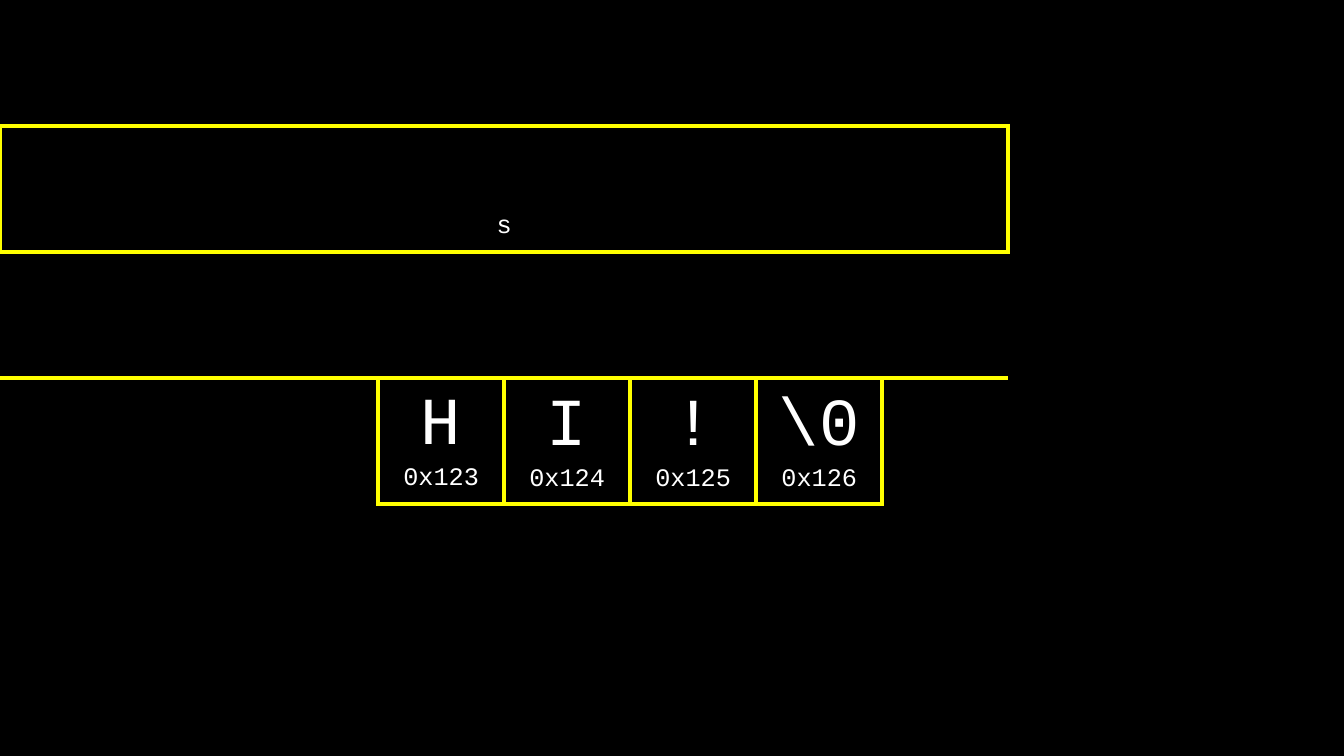
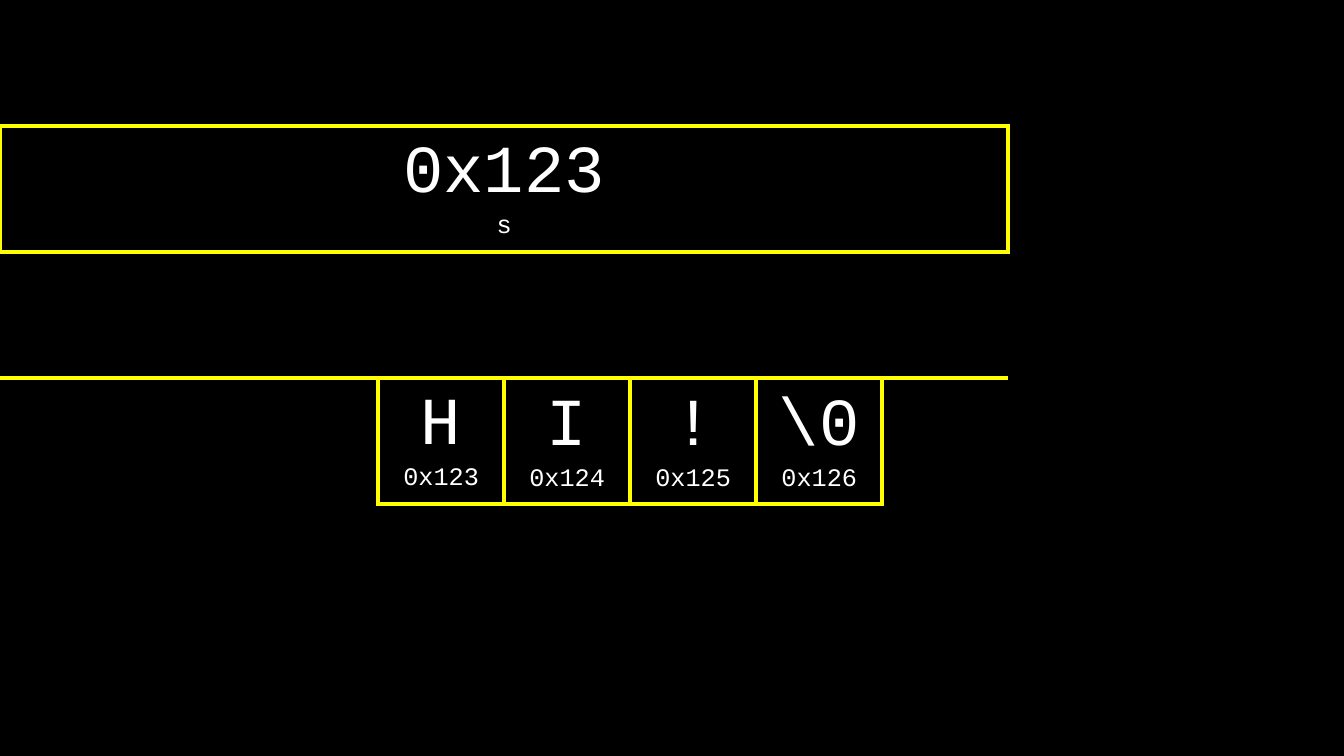
import collections
import dataclasses

import pptx
import pptx.dml.color
import pptx.enum.text
import pptx.oxml
import pptx.oxml.ns
import pptx.util

Inches = pptx.util.Inches
Pt = pptx.util.Pt
Anchor = pptx.enum.text.MSO_ANCHOR


@dataclasses.dataclass(frozen=True)
class Theme:
    background: str = "000000"
    text: str = "FFFFFF"
    border: str = "FFFF00"
    border_width: float = 3
    font: str = "Courier New"
    value_size: float = 48
    label_size: float = 18
    inset: float = 0.1
    value_line: float = 0.76  # height of one line at value_size
    no_grid_style: str = "{2D5ABB26-0587-4C30-8999-92F81FD0307C}"


THEME = Theme()
ROWS, COLUMNS, CELL = 5, 8, 1.25
POINTER_ROW, BYTE_ROW, FIRST_BYTE = 1, 3, 3
FIRST_ADDRESS = 0x123
CHARACTERS = ["H", "I", "!", "\\0"]


def write_text(paragraph, text, *, size, color=THEME.text, font=THEME.font):
    paragraph.alignment = pptx.enum.text.PP_ALIGN.CENTER
    run = paragraph.add_run()
    run.text = text
    run.font.size = Pt(size)
    run.font.name = font
    run.font.color.rgb = pptx.dml.color.RGBColor.from_string(color)


def fill_cell(cell, value, label, anchor=Anchor.TOP):
    """Write a large value over a small label; without a value, keep its room."""
    cell.margin_left = cell.margin_right = cell.margin_bottom = Inches(THEME.inset)
    cell.margin_top = Inches(THEME.inset + (0 if value else THEME.value_line))
    cell.vertical_anchor = anchor
    paragraph = cell.text_frame.paragraphs[0]
    if value:
        write_text(paragraph, value, size=THEME.value_size)
        paragraph = cell.text_frame.add_paragraph()
    write_text(paragraph, label, size=THEME.label_size)


def border_sides(boxes):
    """Map each cell to its bordered sides, counting edges shared with neighbours."""
    sides = collections.defaultdict(set)
    for row, first, last in boxes:
        sides[row, first] |= set("LRTB")
        sides[row, last].add("R")
        sides[row, first - 1].add("R")
        sides[row, last + 1].add("L")
        for column in range(first, last + 1):
            sides[row, column] |= set("TB")
            sides[row - 1, column].add("B")
            sides[row + 1, column].add("T")
    return sides


def style_cell(cell, sides):
    properties = cell._tc.get_or_add_tcPr()
    for side in "LRTB":
        if side in sides:
            properties.append(pptx.oxml.parse_xml(
                f'<a:ln{side} {pptx.oxml.ns.nsdecls("a")} w="{Pt(THEME.border_width)}">'
                f'<a:solidFill><a:srgbClr val="{THEME.border}"/></a:solidFill>'
                f'<a:prstDash val="solid"/></a:ln{side}>'))
    cell.fill.background()


def add_memory_grid(slide, left, top, width, height, pointer_value):
    table = slide.shapes.add_table(
        ROWS, COLUMNS, Inches(left), Inches(top), Inches(width), Inches(height)).table
    table.first_row = table.horz_banding = False
    style = table._tbl.tblPr.find(pptx.oxml.ns.qn("a:tableStyleId"))
    style.text = THEME.no_grid_style

    # Pointer across the full row
    pointer = table.cell(POINTER_ROW, 0)
    pointer.merge(table.cell(POINTER_ROW, COLUMNS - 1))
    fill_cell(pointer, pointer_value, "s")

    # One byte per cell, with consecutive addresses
    boxes = [(POINTER_ROW, 0, COLUMNS - 1)]
    for offset, character in enumerate(CHARACTERS):
        column = FIRST_BYTE + offset
        fill_cell(table.cell(BYTE_ROW, column), character,
                  f"{FIRST_ADDRESS + offset:#x}",
                  Anchor.BOTTOM if offset else Anchor.TOP)
        boxes.append((BYTE_ROW, column, column))

    # Borders and clear fills
    sides = border_sides(boxes)
    for row in range(ROWS):
        for column in range(COLUMNS):
            style_cell(table.cell(row, column), sides[row, column])


def add_memory_slide(presentation, pointer_value):
    slide = presentation.slides.add_slide(presentation.slide_layouts[6])
    fill = slide.background.fill
    fill.solid()
    fill.fore_color.rgb = pptx.dml.color.RGBColor.from_string(THEME.background)
    add_memory_grid(slide, 0, 0, COLUMNS * CELL, ROWS * CELL, pointer_value)


def main():
    presentation = pptx.Presentation()
    presentation.slide_width = Inches(13.33)
    presentation.slide_height = Inches(7.5)
    for pointer_value in ("", f"{FIRST_ADDRESS:#x}"):
        add_memory_slide(presentation, pointer_value)
    presentation.save("out.pptx")


if __name__ == "__main__":
    main()
